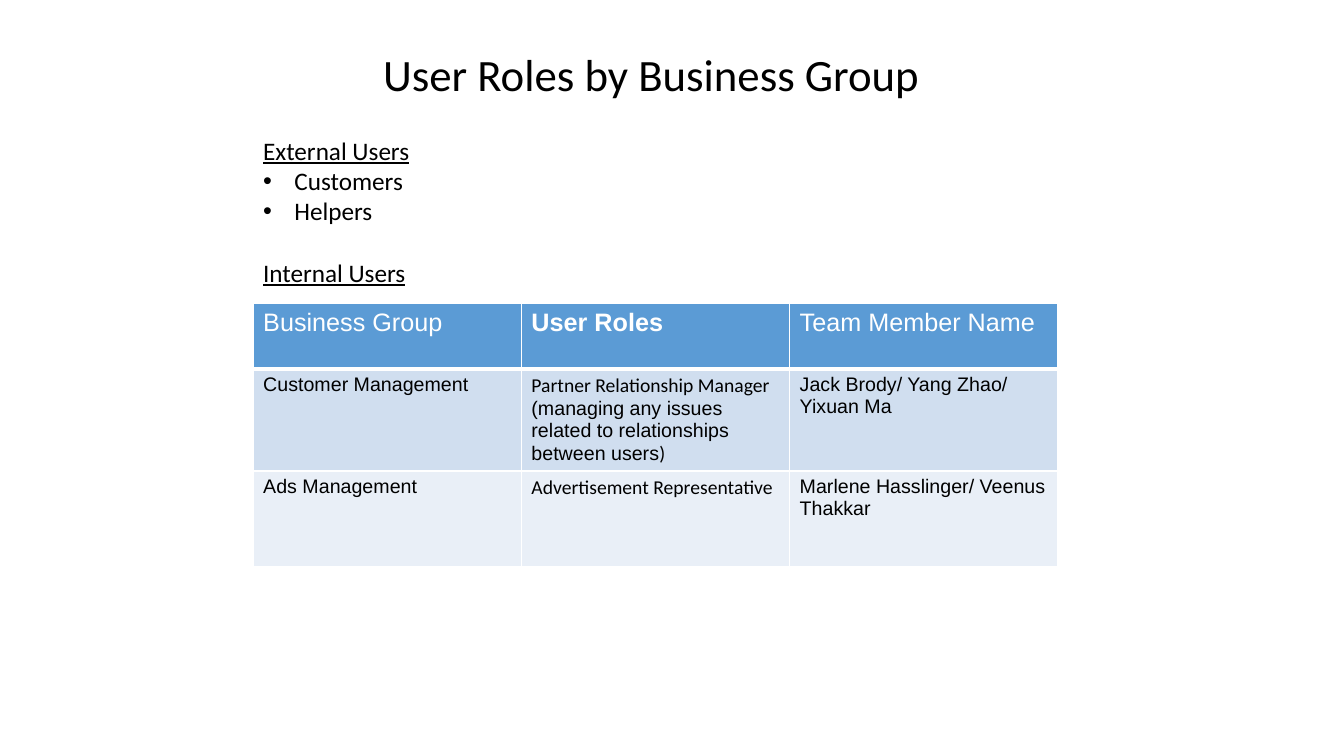
"""Build the slide of user roles by business group."""
from lxml.etree import SubElement
from pptx import Presentation
from pptx.dml.color import RGBColor
from pptx.enum.text import MSO_ANCHOR, MSO_AUTO_SIZE, PP_ALIGN
from pptx.oxml.ns import qn
from pptx.util import Cm, Pt

BLACK, WHITE = "000000", "FFFFFF"
HEADER_FILL, BAND_FILLS = "5B9BD5", ("D0DEEF", "E9EFF7")
HEADING, BODY = "Calibri", "Arial"


def color(value):
    return RGBColor.from_string(value)


def write(paragraph, text, font=HEADING, size=18, fill=BLACK, bold=False, underline=False):
    run = paragraph.add_run()
    run.text = text
    run.font.name = font
    run.font.size = Pt(size)
    run.font.bold = bold
    run.font.underline = underline
    run.font.color.rgb = color(fill)


def add_bullet(paragraph, indent=Cm(0.79)):
    properties = paragraph._p.get_or_add_pPr()
    properties.set("marL", str(indent))
    properties.set("indent", str(-indent))
    SubElement(properties, qn("a:buFont"), typeface=BODY)
    SubElement(properties, qn("a:buChar"), char="•")


def add_border(cell, side, width):
    line = SubElement(cell._tc.get_or_add_tcPr(), qn(f"a:ln{side}"), w=str(Pt(width)))
    fill = SubElement(line, qn("a:solidFill"))
    SubElement(fill, qn("a:srgbClr"), val=WHITE)


class RoleSlide:
    def __init__(self, presentation):
        self.slide = presentation.slides.add_slide(presentation.slide_layouts[5])
        self.left = Cm(6.38)

    def title(self, text):
        shape = self.slide.shapes.title
        shape.left, shape.top, shape.width, shape.height = Cm(9.4), Cm(1.04), Cm(14.15), Cm(1.63)
        frame = shape.text_frame
        frame.auto_size = MSO_AUTO_SIZE.NONE
        frame.vertical_anchor = MSO_ANCHOR.TOP
        paragraph = frame.paragraphs[0]
        paragraph.alignment = PP_ALIGN.LEFT
        write(paragraph, text, size=32)

    def user_list(self, top, width, height, heading, users=()):
        shape = self.slide.shapes.add_textbox(self.left, top, width, height)
        frame = shape.text_frame
        frame.word_wrap = True
        write(frame.paragraphs[0], heading, underline=True)
        for user in users:
            paragraph = frame.add_paragraph()
            add_bullet(paragraph)
            write(paragraph, user)

    def table(self, top, column_width, row_heights, header, roles):
        rows = [header, *roles]
        shape = self.slide.shapes.add_table(
            len(rows), len(header), self.left, top,
            column_width * len(header), sum(row_heights))
        table = shape.table
        table.first_row = table.horz_banding = False
        for column in table.columns:
            column.width = column_width
        for row_index, (values, height) in enumerate(zip(rows, row_heights)):
            table.rows[row_index].height = height
            for column_index, runs in enumerate(values):
                self.cell(table.cell(row_index, column_index), row_index, runs)

    def cell(self, cell, row_index, runs):
        is_header = row_index == 0
        widths = {"L": 1, "R": 1, "T": 3 if row_index == 1 else 1, "B": 3 if is_header else 1}
        for side, width in widths.items():
            add_border(cell, side, width)
        cell.fill.solid()
        cell.fill.fore_color.rgb = color(HEADER_FILL if is_header else BAND_FILLS[row_index - 1])
        style = {"size": 18, "fill": WHITE} if is_header else {"size": 14}
        for text, extra in runs:
            write(cell.text_frame.paragraphs[0], text, **{"font": BODY, **style, **extra})


def plain(text, **extra):
    return [(text, extra)]


presentation = Presentation()
presentation.slide_width, presentation.slide_height = Cm(33.87), Cm(19.05)
role_slide = RoleSlide(presentation)
role_slide.title("User Roles by Business Group")
role_slide.table(
    Cm(7.65), Cm(6.76), [Cm(1.65), Cm(1.88), Cm(2.41)],
    [plain("Business Group"), plain("User Roles", bold=True), plain("Team Member Name")],
    [
        [
            plain("Customer Management"),
            [
                ("Partner Relationship Manager", {"font": HEADING}),
                (" (managing any issues related to relationships between users", {}),
                (")", {"font": HEADING}),
            ],
            plain("Jack Brody/ Yang Zhao/ Yixuan Ma"),
        ],
        [
            plain("Ads Management"),
            plain("Advertisement Representative", font=HEADING),
            plain("Marlene Hasslinger/ Veenus Thakkar"),
        ],
    ])
role_slide.user_list(Cm(3.28), Cm(10.16), Cm(2.57), "External Users", ["Customers", "Helpers"])
role_slide.user_list(Cm(6.35), Cm(4.14), Cm(1.02), "Internal Users")
presentation.save("out.pptx")
